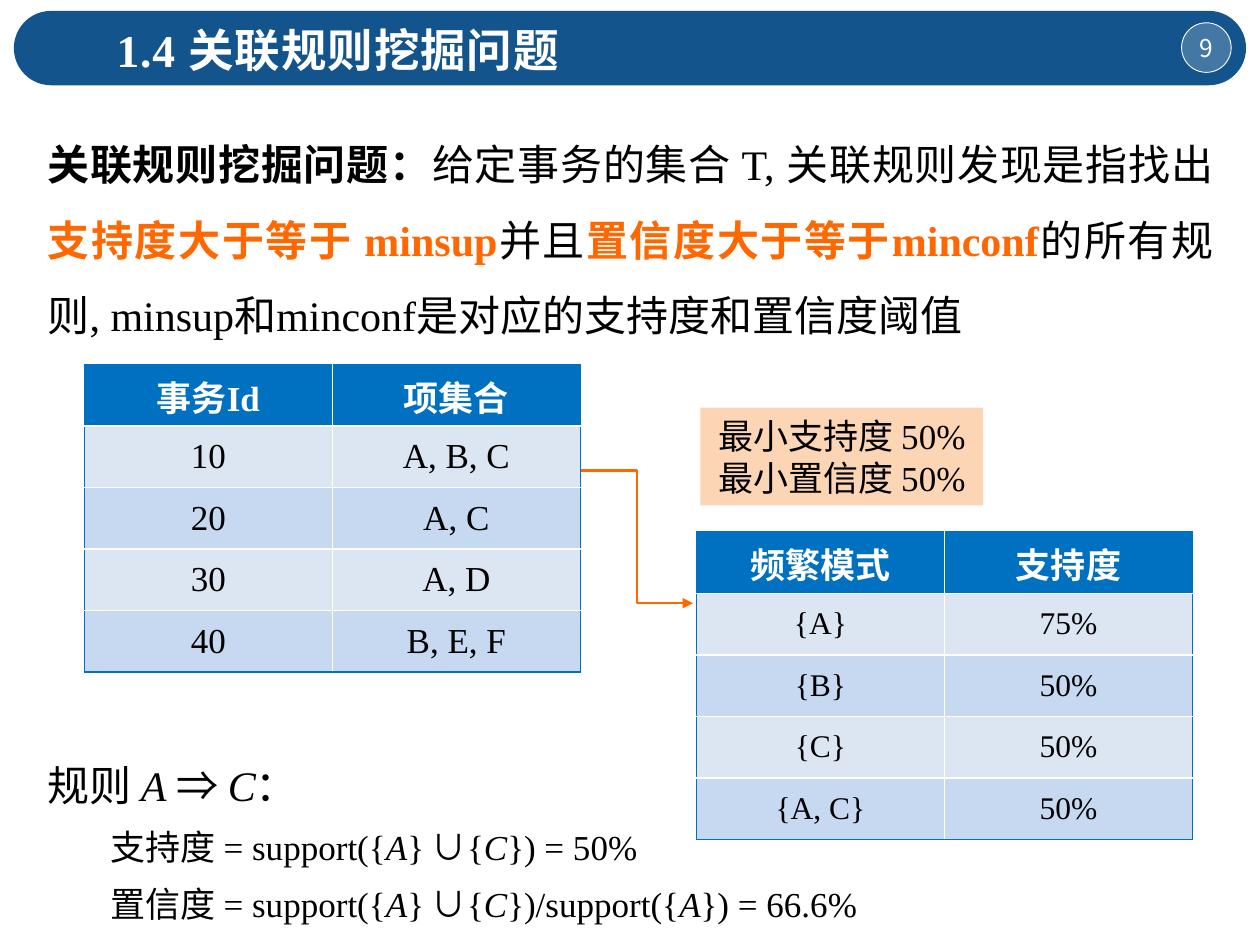
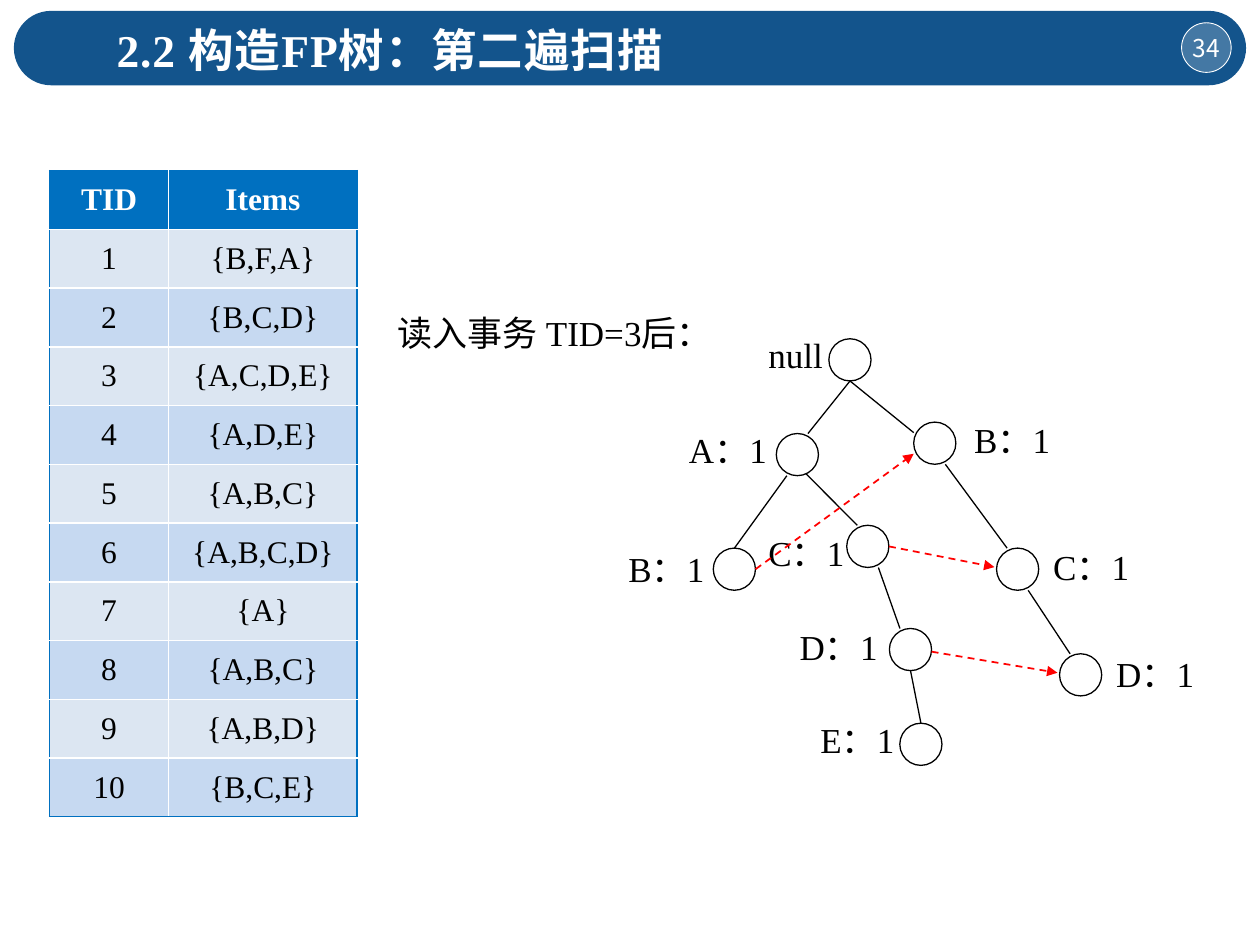
from dataclasses import dataclass

from lxml.etree import SubElement
from pptx import Presentation
from pptx.dml.color import RGBColor
from pptx.enum.dml import MSO_LINE
from pptx.enum.shapes import MSO_CONNECTOR, MSO_SHAPE
from pptx.enum.text import MSO_ANCHOR, PP_ALIGN
from pptx.oxml.ns import qn
from pptx.util import Cm, Pt


@dataclass(frozen=True)
class Theme:
    """Colours, fonts, type sizes and leading of the deck."""
    band: str = "13548C"
    blue: str = "0070C0"
    rows: tuple = ("DCE6F2", "C6D9F1")
    peach: str = "FCD5B5"
    orange: str = "FF6700"
    red: str = "FF0000"
    black: str = "000000"
    white: str = "FFFFFF"
    serif: str = "Times New Roman"
    sans: str = "Noto Sans CJK SC"
    title: int = 26
    body: int = 24
    text: int = 20
    small: int = 18
    number: int = 14
    leading: float = 1.2


T = Theme()


def rgb(color):
    """Turn a hex string into a colour."""
    return RGBColor.from_string(color)


def style(r, size=T.text, color=T.black, bold=False, italic=False, font=T.serif):
    """Format one run, with the sans font for East Asian characters."""
    r.font.size, r.font.bold, r.font.italic = Pt(size), bold, italic
    r.font.color.rgb = rgb(color)
    r.font.name = font
    rPr = r._r.get_or_add_rPr()
    ea = SubElement(rPr, qn("a:ea"), typeface=T.sans)
    rPr.find(qn("a:latin")).addnext(ea)


def fill_text(tf, text, align=PP_ALIGN.LEFT, leading=None, **look):
    """Write plain text into a frame and format every run."""
    tf.text = text
    for p in tf.paragraphs:
        p.alignment = align
        if leading:
            p.line_spacing = Pt(leading * look.get("size", T.text))
        for r in p.runs:
            style(r, **look)


def add_runs(p, parts, **base):
    """Append runs given as (text, overrides) pairs."""
    for text, look in parts:
        r = p.add_run()
        r.text = text
        style(r, **{**base, **look})


def add_box(s, x, y, w, h):
    """Add a wrapping text box and return its frame."""
    tf = s.shapes.add_textbox(Cm(x), Cm(y), Cm(w), Cm(h)).text_frame
    tf.word_wrap = True
    return tf


def add_shape(s, kind, x, y, w, h, fill=None, line=None, width=0.75):
    """Add a flat preset shape."""
    sp = s.shapes.add_shape(kind, Cm(x), Cm(y), Cm(w), Cm(h))
    sp.shadow.inherit = False
    if fill:
        sp.fill.solid()
        sp.fill.fore_color.rgb = rgb(fill)
    else:
        sp.fill.background()
    if line:
        sp.line.color.rgb = rgb(line)
        sp.line.width = Pt(width)
    else:
        sp.line.fill.background()
    return sp


def add_line(s, start, end, color=T.black, width=0.75, kind=MSO_CONNECTOR.STRAIGHT,
             dashed=False, arrow=False):
    """Add a connector, optionally dashed or with an arrowhead."""
    cx = s.shapes.add_connector(kind, *map(Cm, (*start, *end)))
    cx.line.color.rgb = rgb(color)
    cx.line.width = Pt(width)
    if dashed:
        cx.line.dash_style = MSO_LINE.DASH
    if arrow:
        SubElement(cx.line._get_or_add_ln(), qn("a:tailEnd"), type="triangle")
    SubElement(cx._element.spPr, qn("a:effectLst"))


def add_header(s, title, number):
    """Draw the title band with its page number badge."""
    band = add_shape(s, MSO_SHAPE.ROUNDED_RECTANGLE, 0.28, 0.22, 24.84, 1.5, T.band)
    band.adjustments[0] = 0.5
    badge = add_shape(s, MSO_SHAPE.OVAL, 23.82, 0.46, 1, 1, T.white, T.white, 0.5)
    color = badge._element.spPr.find(qn("a:solidFill"))[0]
    SubElement(color, qn("a:alpha"), val="21000")
    tf = badge.text_frame
    tf.margin_left = tf.margin_right = tf.margin_top = tf.margin_bottom = 0
    tf.vertical_anchor = MSO_ANCHOR.MIDDLE
    tf.word_wrap = False
    fill_text(tf, str(number), PP_ALIGN.CENTER, size=T.number, color=T.white, font=T.sans)
    tf = add_box(s, 2.1, 0.3, 18.85, 1.38)
    tf.vertical_anchor = MSO_ANCHOR.MIDDLE
    fill_text(tf, title, leading=T.leading, size=T.title, color=T.white, bold=True)
    for r in tf.paragraphs[0].runs:
        r._r.get_or_add_rPr().set("spc", "50")


def set_borders(cell, colors):
    """Draw the left, right, top and bottom borders of a cell."""
    tcPr = cell._tc.get_or_add_tcPr()
    for i, (side, color) in enumerate(zip("LRTB", colors)):
        ln = tcPr.makeelement(qn(f"a:ln{side}"), {"w": str(Pt(1))})
        SubElement(SubElement(ln, qn("a:solidFill")), qn("a:srgbClr"), val=color)
        tcPr.insert(i, ln)


def add_grid(s, x, y, widths, height, rows, head_size=T.text, size=T.text):
    """Add a table with a blue header, striped rows and a blue outline."""
    last_row, last_col = len(rows) - 1, len(widths) - 1
    table = s.shapes.add_table(len(rows), len(widths), Cm(x), Cm(y), Cm(sum(widths)),
                               Cm(height)).table
    table.horz_banding = False
    for col, w in zip(table.columns, widths):
        col.width = Cm(w)
    for i, values in enumerate(rows):
        for j, value in enumerate(values):
            cell = table.cell(i, j)
            cell.vertical_anchor = MSO_ANCHOR.MIDDLE
            cell.fill.solid()
            cell.fill.fore_color.rgb = rgb(T.rows[(i - 1) % 2] if i else T.blue)
            fill_text(cell.text_frame, value, PP_ALIGN.CENTER, bold=i == 0,
                      size=size if i else head_size, color=T.black if i else T.white)
            outer = (j == 0, j == last_col, i == 0, i == last_row)
            set_borders(cell, [T.blue if edge else T.white for edge in outer])


def add_definition(s, x, y, w, h):
    """Write the problem statement."""
    key = {"color": T.orange, "bold": True}
    p = add_box(s, x, y, w, h).paragraphs[0]
    p.alignment = PP_ALIGN.JUSTIFY
    p.line_spacing = Pt(42.9)
    add_runs(p, [("关联规则挖掘问题：", {"bold": True}),
                 ("给定事务的集合 T, 关联规则发现是指找出", {}),
                 ("支持度大于等于 minsup", key),
                 ("并且", {}),
                 ("置信度大于等于minconf", key),
                 ("的所有规则, minsup和minconf是对应的支持度和置信度阈值", {})],
             size=T.body)


def add_rule(s, x, y, w, h):
    """Write the example rule with its support and confidence."""
    it, sym = {"italic": True}, {"font": T.sans}
    union = [(" = support({", {}), ("A", it), ("}", {}), (" ∪", sym), ("{", {}), ("C", it)]
    lines = [
        [("规则 ", {}), ("A ", it), ("⇒ ", sym), ("C", it), ("：", {})],
        [("支持度", {}), *union, ("}) = 50%", {})],
        [("置信度", {}), *union, ("})/support({", {}), ("A", it), ("}) = 66.6%", {})],
    ]
    tf = add_box(s, x, y, w, h)
    for i, parts in enumerate(lines):
        p = tf.add_paragraph() if i else tf.paragraphs[0]
        size = T.text if i else T.body
        p.line_spacing = Pt(size * T.leading * 1.2)
        if i:
            p.space_before = Pt(4)
            p._p.get_or_add_pPr().set("marL", str(Cm(1.27)))
        add_runs(p, parts, size=size)


def add_thresholds(s, x, y, w, h):
    """Show the minimum support and confidence."""
    tf = add_shape(s, MSO_SHAPE.RECTANGLE, x, y, w, h, T.peach).text_frame
    tf.word_wrap = False
    tf.vertical_anchor = MSO_ANCHOR.MIDDLE
    fill_text(tf, "最小支持度 50%\n最小置信度 50%", PP_ALIGN.CENTER, T.leading)


def add_tree(s, x, y):
    """Draw the FP tree with its node links, from its top left corner."""
    size = 0.85
    nodes = {
        "null": (4.31, 0.73, "null", -1.47, -0.23),
        "a": (3.25, 2.64, "A：1", -2.01, -0.23),
        "ab": (1.98, 4.95, "B：1", -1.96, -0.13),
        "ac": (4.67, 4.49, "C：1", -1.83, 0),
        "acd": (5.53, 6.57, "D：1", -2.06, -0.18),
        "acde": (5.74, 8.48, "E：1", -1.85, -0.23),
        "b": (6.02, 2.41, "B：1", 0.97, -0.2),
        "bc": (7.69, 4.95, "C：1", 0.89, -0.18),
        "bcd": (8.96, 7.08, "D：1", 0.89, -0.15),
    }
    branches = [
        ("null", (0.5, 1), "a", (0.75, 0)),
        ("null", (0.5, 1), "b", (0, 0.25)),
        ("a", (0.25, 1), "ab", (0.5, 0)),
        ("a", (0.7, 0.95), "ac", (0.25, 0)),
        ("ac", (0.75, 1), "acd", (0.25, 0)),
        ("acd", (0.5, 1), "acde", (0.5, 0)),
        ("b", (0.75, 1), "bc", (0.25, 0)),
        ("bc", (0.75, 1), "bcd", (0.25, 0)),
    ]
    links = [
        ("ab", (1, 0.5), "b", (0, 0.75)),
        ("ac", (1, 0.5), "bc", (-0.05, 0.45)),
        ("acd", (1, 0.55), "bcd", (-0.05, 0.45)),
    ]

    def point(name, at):
        """Find a point given in fractions of a node's box."""
        left, top = nodes[name][:2]
        return x + left + at[0] * size, y + top + at[1] * size

    for left, top, label, dx, dy in nodes.values():
        add_shape(s, MSO_SHAPE.OVAL, x + left, y + top, size, size, line=T.black)
        w, leading = (1.7, None) if label == "null" else (2.26, T.leading)
        fill_text(add_box(s, x + left + dx, y + top + dy, w, 1.1), label, leading=leading)
    for parent, start, child, end in branches:
        add_line(s, point(parent, start), point(child, end))
    for source, start, target, end in links:
        add_line(s, point(source, start), point(target, end), T.red, 1,
                 dashed=True, arrow=True)


def build_problem(s):
    """Build the slide on the rule mining problem."""
    add_header(s, "1.4 关联规则挖掘问题", 9)
    add_definition(s, 0.71, 2.18, 24, 4.7)
    add_thresholds(s, 14.12, 8.22, 5.7, 1.97)
    add_line(s, (11.72, 9.48), (13.97, 12.16), T.orange, 1.5, MSO_CONNECTOR.ELBOW, arrow=True)
    add_grid(s, 1.7, 7.35, (5, 5), 6.2,
             [("事务Id", "项集合"), ("10", "A, B, C"), ("20", "A, C"),
              ("30", "A, D"), ("40", "B, E, F")])
    add_grid(s, 14.04, 10.72, (5, 5), 6.2,
             [("频繁模式", "支持度"), ("{A}", "75%"), ("{B}", "50%"),
              ("{C}", "50%"), ("{A, C}", "50%")], size=T.small)
    add_rule(s, 0.71, 14.98, 17.6, 3.78)


def build_second_scan(s):
    """Build the slide on the second scan of the FP tree."""
    add_header(s, "2.2 构造FP树：第二遍扫描", 34)
    items = ("BFA", "BCD", "ACDE", "ADE", "ABC", "ABCD", "A", "ABC", "ABD", "BCE")
    rows = [(str(i), "{" + ",".join(group) + "}") for i, group in enumerate(items, 1)]
    add_grid(s, 1, 3.44, (2.4, 3.8), 13.03, [("TID", "Items"), *rows], T.small, T.small)
    fill_text(add_box(s, 7.77, 6.15, 7.42, 1.1), "读入事务 TID=3后：", leading=T.leading)
    add_tree(s, 12.4, 6.1)


def main():
    """Build and save the deck."""
    prs = Presentation()
    prs.slide_width, prs.slide_height = Cm(25.4), Cm(19.05)
    for build in (build_problem, build_second_scan):
        build(prs.slides.add_slide(prs.slide_layouts[6]))
    prs.save("out.pptx")


if __name__ == "__main__":
    main()
